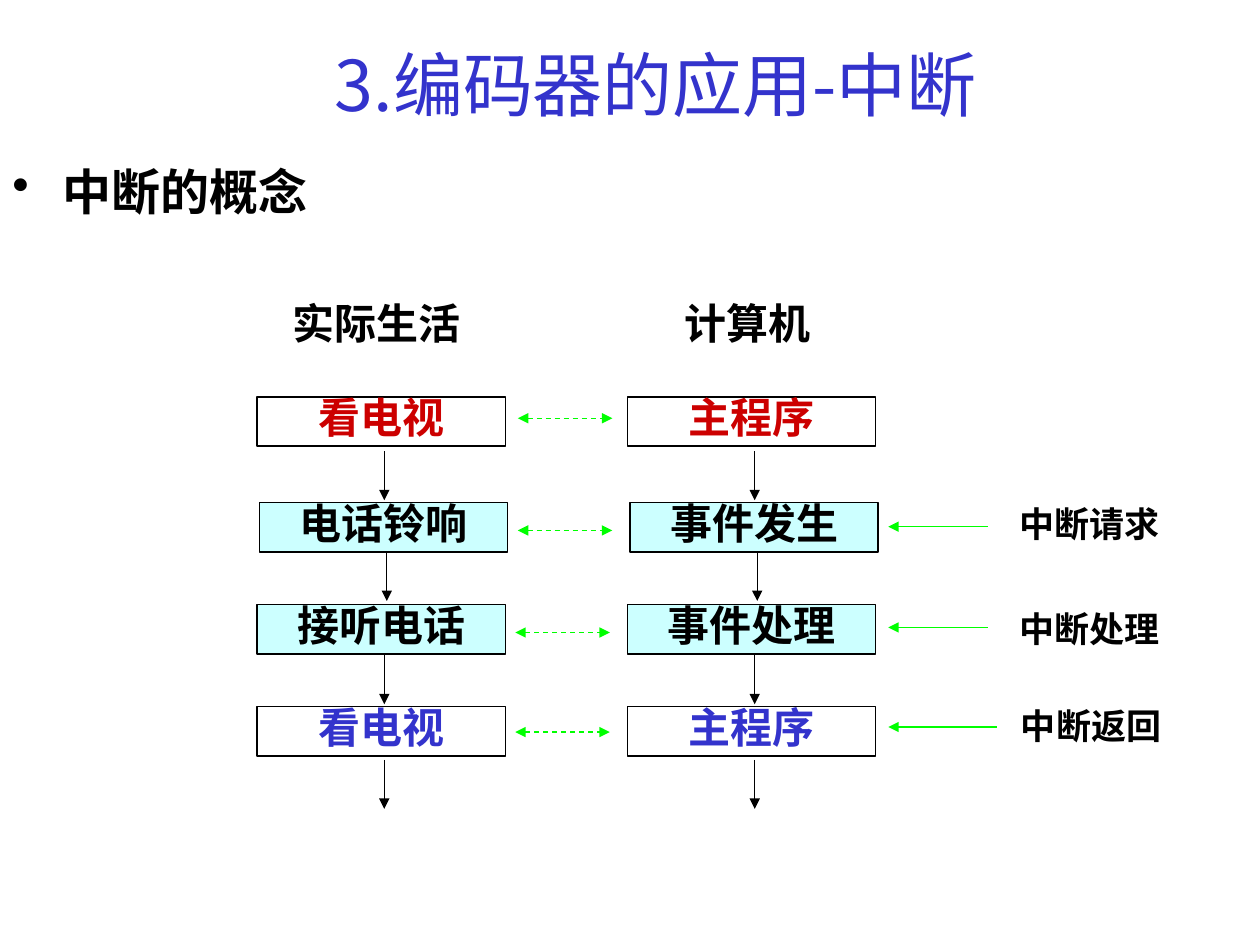
import pptx
import pptx.dml.color
import pptx.enum.dml
import pptx.enum.shapes
import pptx.enum.text
import pptx.oxml.ns
import pptx.util
from lxml import etree

Inches = pptx.util.Inches
Pt = pptx.util.Pt
qn = pptx.oxml.ns.qn
ALIGN = pptx.enum.text.PP_ALIGN
ANCHOR = pptx.enum.text.MSO_ANCHOR

COLORS = {"ink": "000000", "blue": "3333CC", "red": "CC0000",
          "cyan": "CCFFFF", "green": "00FF00"}
FORMATS = {
    "title": {"size": Pt(40), "name": "Noto Sans CJK SC"},
    "bullet": {"size": Pt(28), "name": "Noto Sans CJK SC", "bold": True},
    "step": {"size": Pt(24), "name": "Arial", "bold": True},
    "note": {"size": Pt(20), "name": "Times New Roman", "bold": True},
}
NO_INSETS = (0, 0, 0, 0)
SIDE_INSETS = (0.1, 0, 0.1, 0)
TEXT_INSETS = (0.1, 0.05, 0.1, 0.05)

# Flow steps: top, x shift, fill, text colour, two labels,
# height of the dashed link, its x shift, top of the arrow below
STEPS = [
    (3.15, 0, None, "red", ("看电视", "主程序"), 3.32, 0.02, 3.58),
    (3.99, 0.02, "cyan", "ink", ("电话铃响", "事件发生"), 4.21, 0.02, 4.38),
    (4.8, 0, "cyan", "ink", ("接听电话", "事件处理"), 5.02, 0, 5.2),
    (5.61, 0, None, "blue", ("看电视", "主程序"), 5.81, 0, 6.03),
]
# Interrupt notes: label, box, insets, alignment, arrow start and height
NOTES = [
    ("中断请求", (7.99, 3.94, 1.34, 0.4), TEXT_INSETS, ALIGN.JUSTIFY, 7.84, 4.18),
    ("中断处理", (7.98, 4.82, 1.34, 0.31), SIDE_INSETS, ALIGN.CENTER, 7.84, 4.98),
    ("中断返回", (7.99, 5.59, 1.34, 0.32), SIDE_INSETS, ALIGN.CENTER, 7.91, 5.77),
]


def rgb(name):
    return pptx.dml.color.RGBColor.from_string(COLORS[name])


def set_text(sp, text, kind, color="ink", align=ALIGN.CENTER, insets=NO_INSETS,
             anchor=ANCHOR.TOP, spacing=None, bullet=None):
    tf = sp.text_frame
    tf.word_wrap = True
    tf.vertical_anchor = anchor
    for side, inset in zip(("left", "top", "right", "bottom"), insets):
        setattr(tf, f"margin_{side}", Inches(inset))
    p = tf.paragraphs[0]
    p.alignment = align
    if spacing:
        p.line_spacing = spacing
    if bullet:
        pPr = p._p.get_or_add_pPr()
        pPr.set("marL", str(Inches(0.4)))
        pPr.set("indent", str(-Inches(0.4)))
        etree.SubElement(pPr, qn("a:buChar"), char=bullet)
    r = p.add_run()
    r.text = text
    for attr, value in FORMATS[kind].items():
        setattr(r.font, attr, value)
    r.font.color.rgb = rgb(color)


def add_text(s, box, text, kind, **options):
    sp = s.shapes.add_textbox(*map(Inches, box))
    set_text(sp, text, kind, **options)


def add_arrow(s, start, end, color="ink", both=False):
    sp = s.shapes.add_connector(pptx.enum.shapes.MSO_CONNECTOR.STRAIGHT,
                                *map(Inches, start + end))
    sp.line.color.rgb = rgb(color)
    sp.line.width = Pt(0.75)
    if both:
        sp.line.dash_style = pptx.enum.dml.MSO_LINE.DASH
    ln = sp.line._get_or_add_ln()
    for tag in ("a:headEnd", "a:tailEnd") if both else ("a:tailEnd",):
        etree.SubElement(ln, qn(tag), type="triangle")
    etree.SubElement(sp._element.spPr, qn("a:effectLst"))


def add_step(s, box, text, fill, color):
    sp = s.shapes.add_shape(pptx.enum.shapes.MSO_SHAPE.RECTANGLE, *map(Inches, box))
    sp.shadow.inherit = False
    if fill:
        sp.fill.solid()
        sp.fill.fore_color.rgb = rgb(fill)
    else:
        sp.fill.background()
    sp.line.color.rgb = rgb("ink")
    sp.line.width = Pt(0.75)
    set_text(sp, text, "step", color, spacing=0.9)


def add_column(s, left, heading, index):
    """One flow: heading, then each step with the arrow below it."""
    add_text(s, (left + 0.24, 2.36, 1.42, 0.4), heading, "step")
    for top, shift, fill, color, labels, _, _, arrow_top in STEPS:
        x = left + shift
        add_arrow(s, (x + 1.01, arrow_top), (x + 1.01, arrow_top + 0.39))
        add_step(s, (x, top, 1.97, 0.39), labels[index], fill, color)


def add_links(s, left):
    """Dashed links between matching steps."""
    for *_, y, shift, _ in STEPS:
        x = left + shift
        add_arrow(s, (x, y), (x + 0.75, y), "green", both=True)


def add_notes(s, tip):
    """Interrupt terms pointing at the right-hand flow."""
    for text, box, insets, align, start, y in NOTES:
        add_arrow(s, (start, y), (tip, y), "green")
        add_text(s, box, text, "note", align=align, insets=insets)


def main():
    prs = pptx.Presentation()
    prs.slide_width, prs.slide_height = Inches(10), Inches(7.5)
    s = prs.slides.add_slide(prs.slide_layouts[6])

    # Title and topic
    add_text(s, (1.4, 0.34, 7.61, 0.64), "3.编码器的应用-中断", "title",
             color="blue", insets=TEXT_INSETS, anchor=ANCHOR.MIDDLE)
    add_text(s, (0, 1.23, 4.92, 0.63), "中断的概念", "bullet",
             align=ALIGN.LEFT, insets=TEXT_INSETS, bullet="•")

    # Two parallel flows with links and notes
    for index, heading in enumerate(("实际生活", "计算机")):
        add_column(s, 2.04 + 2.94 * index, heading, index)
    add_links(s, 4.09)
    add_notes(s, 7.05)
    prs.save("out.pptx")


if __name__ == "__main__":
    main()
